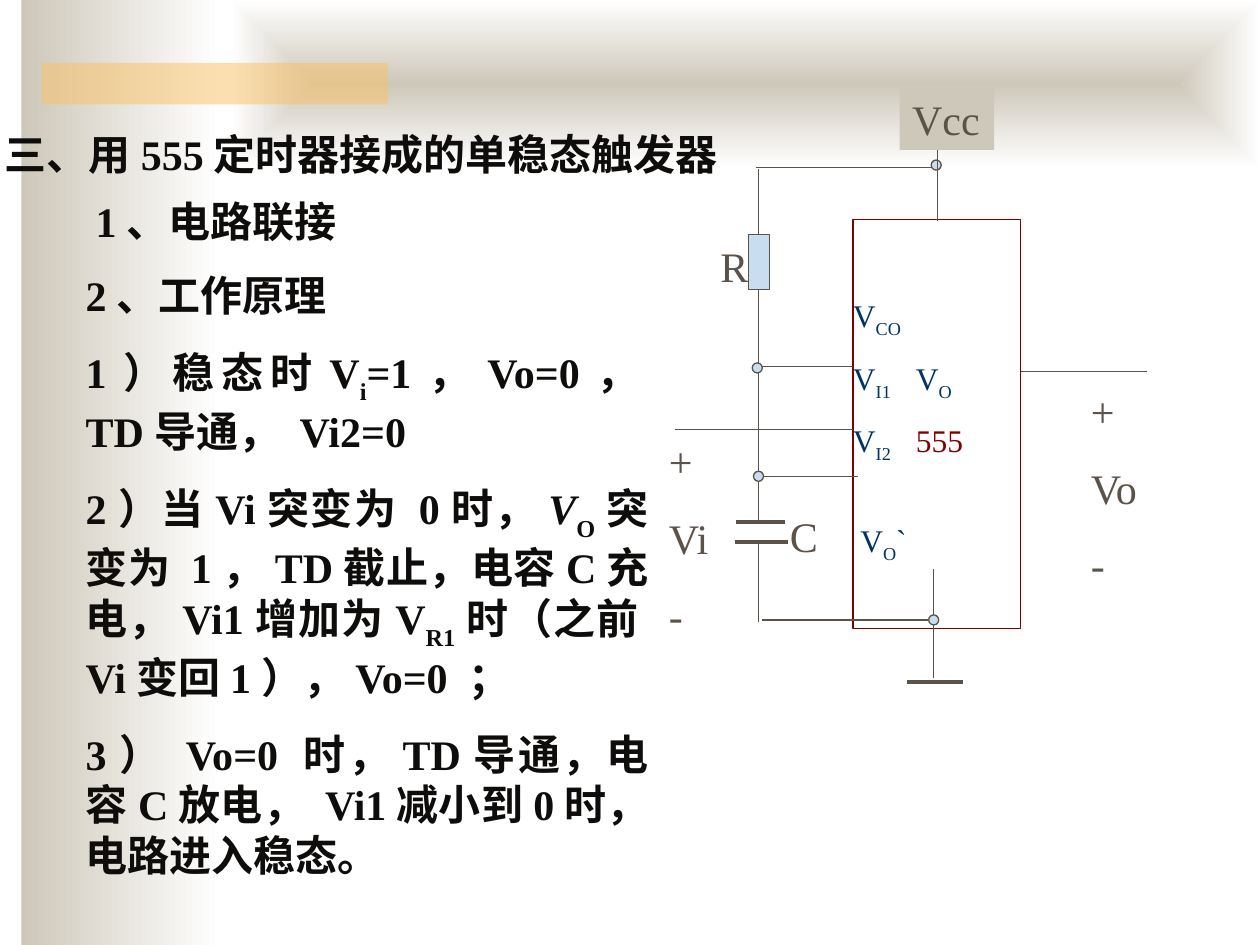
from dataclasses import dataclass

from lxml.etree import SubElement
from pptx import Presentation
from pptx.dml.color import RGBColor
from pptx.enum.shapes import MSO_CONNECTOR, MSO_SHAPE
from pptx.enum.text import MSO_ANCHOR, MSO_AUTO_SIZE, PP_ALIGN
from pptx.oxml.ns import qn
from pptx.util import Inches, Pt

INK, GREY, NAVY, RED = "0E0D0C", "5B5249", "003366", "800000"
SAND, GOLD, SKY, WHITE = "CEC8BA", "FAC164", "C9DDF1", "FFFFFF"


@dataclass
class Run:
    text: str
    base: int = 0
    italic: bool = False
    color: str = ""


@dataclass
class Wire:
    x1: float
    y1: float
    x2: float
    y2: float
    width: float = 0.75


@dataclass
class Label:
    box: tuple
    lines: list
    fill: str = ""


@dataclass
class Style:
    size: int = 24
    color: str = GREY
    bold: bool = False
    gap: float = 15
    align: PP_ALIGN = PP_ALIGN.LEFT


def paint(part, color: str) -> None:
    part.solid()
    part.fore_color.rgb = RGBColor.from_string(color)


def place(shape, box: tuple) -> None:
    names = ("left", "top", "width", "height")
    for name, value in zip(names, box):
        setattr(shape, name, Inches(value))


def block(box: tuple, fill: str = "", line: str = "", kind=MSO_SHAPE.RECTANGLE):
    shape = deck.add_shape(kind, *map(Inches, box))
    shape.shadow.inherit = False
    if fill:
        paint(shape.fill, fill)
    else:
        shape.fill.background()
    if line:
        paint(shape.line.fill, line)
        shape.line.width = Pt(0.75)
    else:
        shape.line.fill.background()
    return shape


def fade(shape) -> None:
    shape.fill.gradient()
    shape.fill.gradient_angle = 0
    for stop, color in zip(shape.fill.gradient_stops, (SAND, WHITE)):
        stop.color.rgb = RGBColor.from_string(color)
    for stop, spot in zip(shape.fill.gradient_stops, (0, 1)):
        stop.position = spot


def wire(item: Wire) -> None:
    ends = map(Inches, (item.x1, item.y1, item.x2, item.y2))
    line = deck.add_connector(MSO_CONNECTOR.STRAIGHT, *ends)
    paint(line.line.fill, GREY)
    line.line.width = Pt(item.width)
    SubElement(line._element.spPr, qn("a:effectLst"))


def write(frame, lines: list, style: Style, stops: tuple = ()) -> None:
    for i, runs in enumerate(lines):
        para = frame.paragraphs[0] if i == 0 else frame.add_paragraph()
        props = para._p.get_or_add_pPr()
        props.set("marL", "0")
        props.set("indent", "0")
        SubElement(props, qn("a:buNone"))
        if stops:
            tabs = SubElement(props, qn("a:tabLst"))
            for stop in stops:
                SubElement(tabs, qn("a:tab"), pos=str(Inches(stop)), algn="l")
        para.alignment = style.align
        para.space_before = Pt(style.gap if i else 0)
        for item in runs:
            run = para.add_run()
            run.text = item.text
            form = {"name": "Times New Roman", "size": Pt(style.size),
                    "bold": style.bold, "italic": item.italic}
            for name, value in form.items():
                setattr(run.font, name, value)
            run.font.color.rgb = RGBColor.from_string(item.color or style.color)
            if item.base:
                run._r.get_or_add_rPr().set("baseline", str(item.base * 1000))


def setup(frame, **form) -> None:
    base = {"word_wrap": True, "auto_size": MSO_AUTO_SIZE.NONE,
            "vertical_anchor": MSO_ANCHOR.TOP,
            "margin_left": Inches(0.1), "margin_right": Inches(0.1),
            "margin_top": Inches(0.05), "margin_bottom": Inches(0.05)}
    for name, value in (base | form).items():
        setattr(frame, name, value)


def label(item: Label, style: Style, wrap: bool = True) -> None:
    shape = deck.add_textbox(*map(Inches, item.box))
    if item.fill:
        paint(shape.fill, item.fill)
    setup(shape.text_frame, word_wrap=wrap)
    write(shape.text_frame, [[Run(text)] for text in item.lines], style)


show = Presentation()
show.slide_width, show.slide_height = Inches(10), Inches(7.5)
slide = show.slides.add_slide(show.slide_layouts[1])
deck = slide.shapes

# Background panels, sent behind the placeholders
side = block((0.17, 0, 1.58, 7.5))
band = block((1.83, 0, 8.17, 1.33))
bar = block((0.33, 0.5, 2.75, 0.33), GOLD)
fade(side)
fade(band)
grad = band._element.spPr.find(qn("a:gradFill"))
grad.remove(grad.find(qn("a:lin")))
focus = SubElement(SubElement(grad, qn("a:path"), path="rect"), qn("a:fillToRect"))
for edge in "ltrb":
    focus.set(edge, "50000")
tint = bar._element.spPr.find(qn("a:solidFill"))[0]
SubElement(tint, qn("a:alpha"), val="50000")
for i, panel in enumerate((side, band, bar)):
    deck._spTree.insert(2 + i, panel._element)

# Title and list
title, body = deck.title, slide.placeholders[1]
place(title, (0.66, 1.14, 4.23, 0.86))
setup(title.text_frame, vertical_anchor=MSO_ANCHOR.BOTTOM)
write(title.text_frame, [[Run("1、电路联接")]], Style(color=INK, bold=True))

place(body, (0.58, 2.09, 4.67, 5.55))
setup(body.text_frame)
write(body.text_frame, [
    [Run("2、工作原理")],
    [Run("1）稳态时V"), Run("i", -30), Run("=1，Vo=0，TD导通， Vi2=0")],
    [Run("2）当Vi突变为 0时，"), Run("V", italic=True), Run("O", -30),
     Run("突变为 1，TD截止，电容C充电，Vi1增加为V"), Run("R1", -30),
     Run("时（之前Vi变回1），Vo=0 ；")],
    [Run("3） Vo=0 时，TD导通，电容C放电， Vi1减小到0时，电路进入稳态。")],
], Style(color=INK, bold=True, align=PP_ALIGN.JUSTIFY))

# 555 chip with pin names
chip = block((6.77, 1.74, 1.33, 3.25), line=RED)
setup(chip.text_frame, margin_left=0, margin_right=0, margin_top=Inches(0.61))
write(chip.text_frame, [
    [Run("V"), Run("CO", -25)],
    [Run("V"), Run("I1", -25), Run("\tV"), Run("O", -25)],
    [Run("V"), Run("I2", -25), Run("\t555", color=RED)],
    [Run(" V"), Run("O", -25), Run("`")],
], Style(18, NAVY, gap=11.2), (0.52, 0.98))
chip.text_frame.paragraphs[2]._p.pPr.find(qn("a:tabLst"))
chip.text_frame.paragraphs[3].space_before = Pt(32.6)

# Wires, capacitor plates and ground
for item in (
    Wire(6.05, 2.91, 6.77, 2.91), Wire(6.02, 1.34, 6.02, 4.16),
    Wire(5.36, 3.41, 6.77, 3.41), Wire(8.1, 2.95, 9.1, 2.95),
    Wire(6, 1.33, 7.45, 1.33), Wire(6, 3.78, 6.81, 3.78),
    Wire(5.84, 4.14, 6.23, 4.14, 2.25), Wire(5.83, 4.3, 6.25, 4.3, 2.25),
    Wire(6.02, 4.31, 6.02, 4.94), Wire(7.41, 4.52, 7.41, 5.38),
    Wire(6.05, 4.92, 7.39, 4.92), Wire(7.2, 5.41, 7.64, 5.41, 2.25),
):
    wire(item)

# Resistor and nodes
block((5.94, 1.86, 0.17, 0.44), SKY, GREY)
for x, y in ((7.39, 1.27), (5.97, 2.88), (5.98, 3.74), (7.37, 4.88)):
    block((x, y, 0.08, 0.08), SKY, GREY, MSO_SHAPE.OVAL)
wire(Wire(7.44, 1.75, 7.44, 1.14))

# Circuit labels and heading
for item in (
    Label((5.21, 3.41, 0.56, 1.72), ["+", "Vi", "-"]),
    Label((8.56, 3.01, 0.67, 1.72), ["+", "Vo", "-"]),
    Label((7.14, 0.69, 0.75, 0.5), ["Vcc"], SAND),
    Label((5.62, 1.86, 0.4, 0.5), ["R"]),
    Label((6.17, 4, 0.45, 0.5), ["C"]),
):
    label(item, Style())
label(Label((-0.06, 0.97, 5.86, 0.5), ["三、用555定时器接成的单稳态触发器"]),
      Style(color=INK, bold=True), wrap=False)

show.save("out.pptx")
